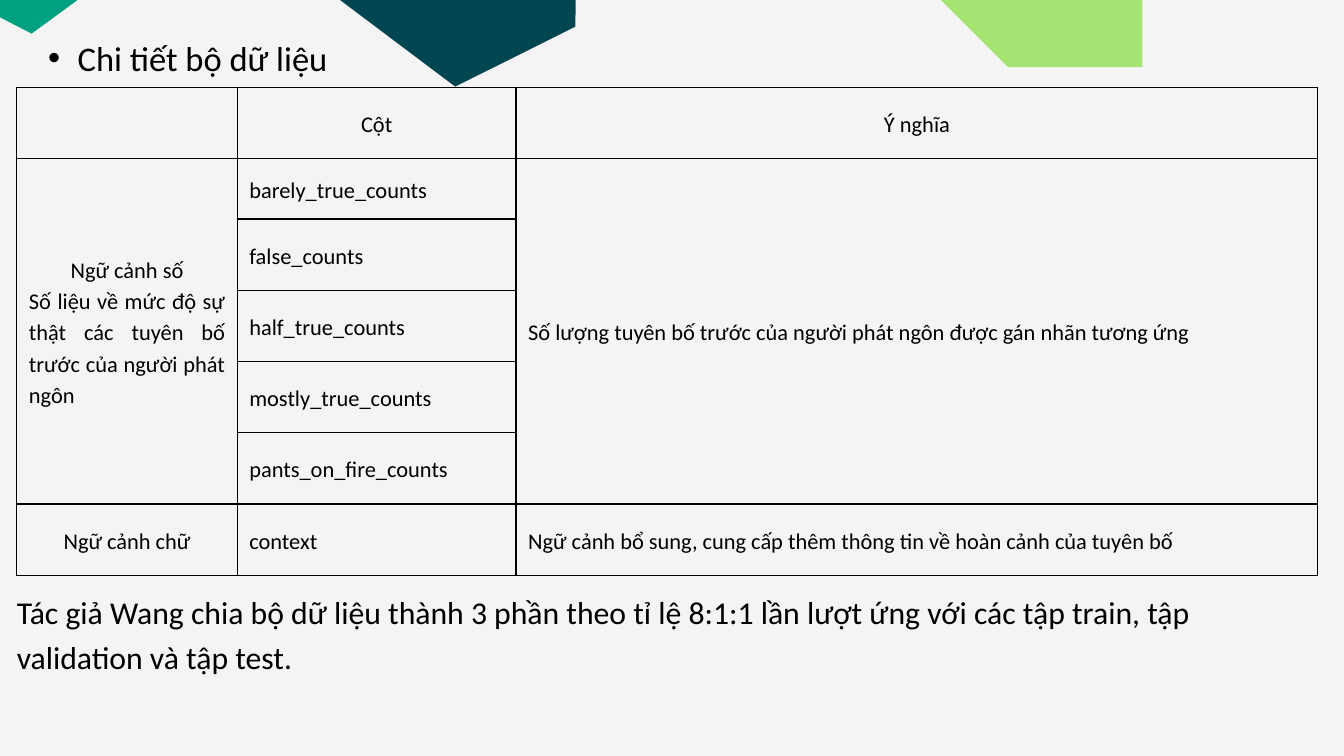
"""Build the slide that details the columns of the dataset."""
import math

from pptx import Presentation
from pptx.dml.color import RGBColor
from pptx.enum.text import MSO_ANCHOR, MSO_AUTO_SIZE, PP_ALIGN
from pptx.oxml.ns import qn
from pptx.util import Inches, Pt
from lxml import etree

LEFT, CENTER, JUSTIFY = PP_ALIGN.LEFT, PP_ALIGN.CENTER, PP_ALIGN.JUSTIFY
TOP, MIDDLE = MSO_ANCHOR.TOP, MSO_ANCHOR.MIDDLE
NO_AUTOFIT = MSO_AUTO_SIZE.NONE

FONT = "Calibri"
LEADING = 1.4
COLORS = {"paper": "F4F4F4", "ink": "000000", "navy": "004651", "teal": "00A181", "lime": "A4E473"}

HEADING = "Chi tiết bộ dữ liệu"
SPLIT_NOTE = ("Tác giả Wang chia bộ dữ liệu thành 3 phần theo tỉ lệ 8:1:1 lần lượt ứng với "
              "các tập train, tập validation và tập test.")
COUNTS = ["barely_true_counts", "false_counts", "half_true_counts",
          "mostly_true_counts", "pants_on_fire_counts"]
NUMBER_CONTEXT = [("Ngữ cảnh số", CENTER),
                  ("Số liệu về mức độ sự thật các tuyên bố trước của người phát ngôn", JUSTIFY)]
COUNT_MEANING = "Số lượng tuyên bố trước của người phát ngôn được gán nhãn tương ứng"
CONTEXT_MEANING = "Ngữ cảnh bổ sung, cung cấp thêm thông tin về hoàn cảnh của tuyên bố"

ROWS = [
    [[], [("Cột", CENTER)], [("Ý nghĩa", CENTER)]],
    [NUMBER_CONTEXT, [(COUNTS[0], LEFT)], [(COUNT_MEANING, LEFT)]],
    *[[[], [(count, LEFT)], []] for count in COUNTS[1:]],
    [[("Ngữ cảnh chữ", CENTER)], [("context", LEFT)], [(CONTEXT_MEANING, LEFT)]],
]
MERGED_COLUMNS = (0, 2)
COLUMN_WIDTHS = [3.28, 4.15, 11.93]
ROW_HEIGHTS = [1.06, 0.9] + [1.06] * 5
TABLE_LEFT, TABLE_TOP = 0.25, 1.3

HEXAGONS = [
    ("navy", 6.96, -0.68, 1.63, -26.5),
    ("teal", 0.25, -1.66, 2.3, -36.2),
    ("lime", 15.84, 0.13, 1.36, 0),
]


def add_hexagon(slide, color, x, y, radius, angle):
    corners = [(x + radius * math.cos(k * math.pi / 3), y + radius * math.sin(k * math.pi / 3))
               for k in range(6)]
    builder = slide.shapes.build_freeform(*corners[0], scale=Inches(1))
    builder.add_line_segments(corners[1:], close=True)
    hexagon = builder.convert_to_shape()
    hexagon.rotation = angle
    hexagon.shadow.inherit = False
    hexagon.fill.solid()
    hexagon.fill.fore_color.rgb = RGBColor.from_string(COLORS[color])
    hexagon.line.fill.background()
    return hexagon


def write(frame, lines, size):
    for index, (text, alignment) in enumerate(lines):
        paragraph = frame.paragraphs[0] if index == 0 else frame.add_paragraph()
        layout = {"alignment": alignment, "line_spacing": Pt(round(size * LEADING, 1)),
                  "space_before": Pt(0)}
        for name, value in layout.items():
            setattr(paragraph, name, value)
        run = paragraph.add_run()
        run.text = text
        for name, value in {"name": FONT, "size": Pt(size)}.items():
            setattr(run.font, name, value)
        run.font.color.rgb = RGBColor.from_string(COLORS["ink"])


def fill_placeholder(holder, box, text, size, alignment, bullet=None, indent=0):
    holder.left, holder.top, holder.width, holder.height = map(Inches, box)
    frame = holder.text_frame
    settings = {"margin_left": 0, "margin_right": 0, "margin_top": 0, "margin_bottom": 0,
                "word_wrap": True, "auto_size": NO_AUTOFIT, "vertical_anchor": TOP}
    for name, value in settings.items():
        setattr(frame, name, value)
    write(frame, [(text, alignment)], size)
    properties = frame.paragraphs[0]._p.get_or_add_pPr()
    properties.set("marL", str(Inches(2 * indent)))
    properties.set("indent", str(-Inches(indent)))
    if bullet:
        etree.SubElement(properties, qn("a:buFont"), typeface="Arial")
        etree.SubElement(properties, qn("a:buChar"), char=bullet)
    else:
        etree.SubElement(properties, qn("a:buNone"))


def add_borders(cell):
    properties = cell._tc.get_or_add_tcPr()
    for position, side in enumerate(("lnL", "lnR", "lnT", "lnB")):
        line = etree.Element(qn(f"a:{side}"), w=str(Pt(1.5)))
        fill = etree.SubElement(line, qn("a:solidFill"))
        etree.SubElement(fill, qn("a:srgbClr"), val=COLORS["ink"])
        properties.insert(position, line)


def add_column_table(slide):
    table = slide.shapes.add_table(
        len(ROWS), len(COLUMN_WIDTHS), Inches(TABLE_LEFT), Inches(TABLE_TOP),
        Inches(sum(COLUMN_WIDTHS)), Inches(sum(ROW_HEIGHTS))).table
    table.first_row = table.horz_banding = False
    for column, width in zip(table.columns, COLUMN_WIDTHS):
        column.width = Inches(width)
    for row, height in zip(table.rows, ROW_HEIGHTS):
        row.height = Inches(height)
    for column in MERGED_COLUMNS:
        table.cell(1, column).merge(table.cell(len(COUNTS), column))
    for r, row in enumerate(ROWS):
        for c, lines in enumerate(row):
            cell = table.cell(r, c)
            for side in ("left", "right", "top", "bottom"):
                setattr(cell, f"margin_{side}", Inches(0.18))
            cell.vertical_anchor = MIDDLE
            cell.fill.background()
            add_borders(cell)
            write(cell.text_frame, lines, 24)


def main():
    deck = Presentation()
    deck.slide_width, deck.slide_height = Inches(20), Inches(11.25)
    slide = deck.slides.add_slide(deck.slide_layouts[1])
    slide.background.fill.solid()
    slide.background.fill.fore_color.rgb = RGBColor.from_string(COLORS["paper"])
    heading, note = slide.placeholders
    for hexagon in HEXAGONS:
        heading._element.addprevious(add_hexagon(slide, *hexagon)._element)
    fill_placeholder(heading, (0, 0.44, 5.15, 0.69), HEADING, 37, CENTER, "•", 0.44)
    fill_placeholder(note, (TABLE_LEFT, 8.73, sum(COLUMN_WIDTHS), 1.28), SPLIT_NOTE, 34, LEFT)
    add_column_table(slide)
    deck.save("out.pptx")


if __name__ == "__main__":
    main()
